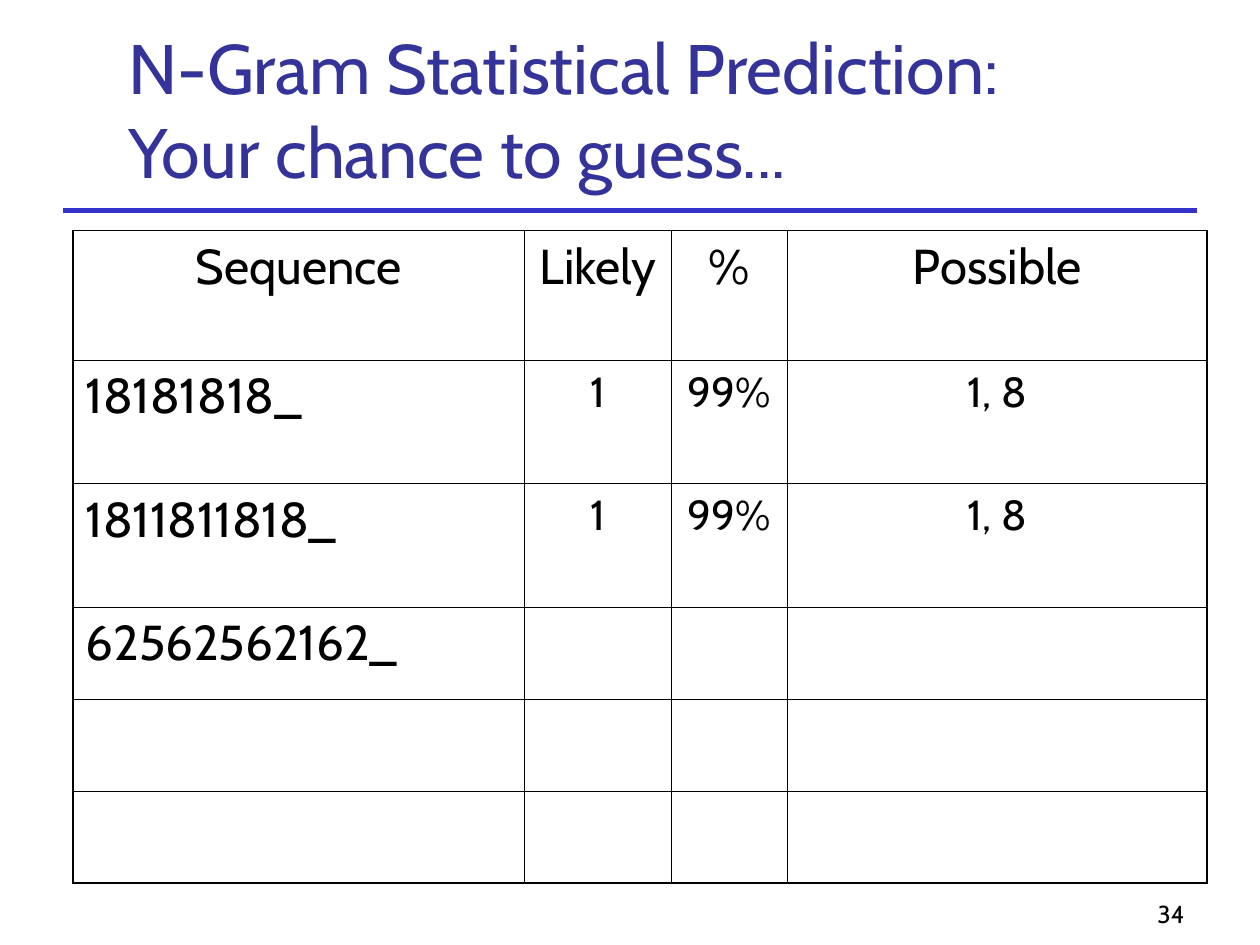
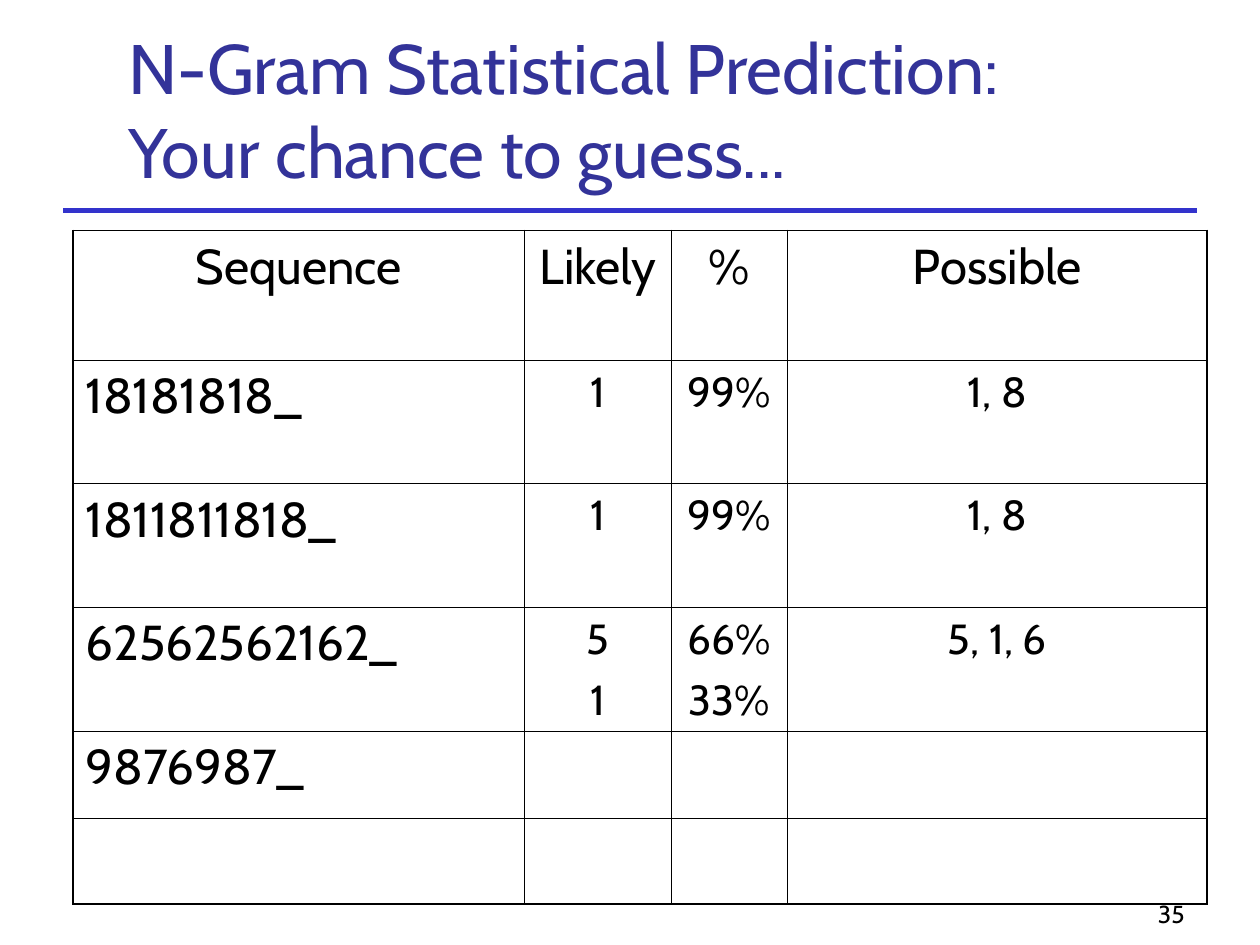
from pptx import Presentation
from pptx.dml.color import RGBColor
from pptx.enum.shapes import MSO_CONNECTOR
from pptx.enum.text import MSO_ANCHOR, PP_ALIGN
from pptx.oxml import parse_xml
from pptx.oxml.ns import nsdecls
from pptx.util import Inches, Pt

# Shared style
FONT = "Cabin"
BLACK = RGBColor(0x00, 0x00, 0x00)
TITLE_BLUE = RGBColor(0x33, 0x33, 0x99)
RULE_BLUE = RGBColor(0x33, 0x33, 0xCC)
OUTER_BORDER = Pt(1.08)
INNER_BORDER = Pt(0.45)

# Shared content
TITLE = "N-Gram Statistical Prediction:\nYour chance to guess..."
HEADER = ["Sequence", "Likely", "%", "Possible"]
COLUMN_WIDTHS = [3.58, 1.17, 0.92, 3.33]
SOLVED_ROWS = [
    ["18181818_", "1", "99%", "1, 8"],
    ["1811811818_", "1", "99%", "1, 8"],
]
EMPTY_ROW = [""] * len(HEADER)

# Each slide: number, guesses below the solved rows, row heights
SLIDES = [
    (34,
     [["62562562162_", "", "", ""], EMPTY_ROW, EMPTY_ROW],
     [1.03, 0.98, 0.98, 0.73, 0.73, 0.73]),
    (35,
     [["62562562162_", "5\n1", "66%\n33%", "5, 1, 6"],
      ["9876987_", "", "", ""], EMPTY_ROW],
     [1.03, 0.98, 0.98, 0.98, 0.69, 0.68]),
]


def style_paragraph(paragraph, size, color, alignment):
    paragraph.alignment = alignment
    paragraph.font.name = FONT
    paragraph.font.size = Pt(size)
    paragraph.font.color.rgb = color


def add_text(slide, text, left, top, width, height, size, color,
             alignment=PP_ALIGN.LEFT):
    shape = slide.shapes.add_textbox(Inches(left), Inches(top),
                                     Inches(width), Inches(height))
    frame = shape.text_frame
    frame.word_wrap = True
    frame.vertical_anchor = MSO_ANCHOR.BOTTOM
    paragraph = frame.paragraphs[0]
    paragraph.text = text
    style_paragraph(paragraph, size, color, alignment)


def add_title_rule(slide):
    rule = slide.shapes.add_connector(MSO_CONNECTOR.STRAIGHT, Inches(0.5),
                                      Inches(1.67), Inches(9.5), Inches(1.67))
    rule.line.color.rgb = RULE_BLUE
    rule.line.width = Pt(3)
    rule._element.spPr.append(parse_xml(f"<a:effectLst {nsdecls('a')}/>"))


def set_borders(cell, outer_sides):
    """Draw all four sides, thicker on the edge of the table."""
    properties = cell._tc.get_or_add_tcPr()
    for position, side in enumerate("LRTB"):
        width = OUTER_BORDER if side in outer_sides else INNER_BORDER
        properties.insert(position, parse_xml(
            f'<a:ln{side} {nsdecls("a")} w="{int(width)}"><a:solidFill>'
            f'<a:srgbClr val="{BLACK}"/></a:solidFill></a:ln{side}>'))


def fill_cell(cell, text, size, alignment):
    cell.fill.background()
    if not text:
        return
    cell.text = text
    for index, paragraph in enumerate(cell.text_frame.paragraphs):
        style_paragraph(paragraph, size, BLACK, alignment)
        paragraph.space_before = Pt(6 if index else 0)


def add_guess_table(slide, rows, row_heights):
    frame = slide.shapes.add_table(
        len(rows), len(HEADER), Inches(0.58), Inches(1.83),
        Inches(sum(COLUMN_WIDTHS)), Inches(sum(row_heights)))
    table = frame.table
    table.first_row = table.horz_banding = False
    for column, width in zip(table.columns, COLUMN_WIDTHS):
        column.width = Inches(width)
    for row, height in zip(table.rows, row_heights):
        row.height = Inches(height)

    last_row, last_column = len(rows) - 1, len(HEADER) - 1
    for r, values in enumerate(rows):
        for c, text in enumerate(values):
            cell = table.cell(r, c)
            edges = {"L": c == 0, "R": c == last_column,
                     "T": r == 0, "B": r == last_row}
            set_borders(cell, [side for side, outer in edges.items() if outer])
            is_sequence = r > 0 and c == 0
            size = 28 if r == 0 or c == 0 else 24
            fill_cell(cell, text, size,
                      PP_ALIGN.LEFT if is_sequence else PP_ALIGN.CENTER)


def main():
    presentation = Presentation()
    presentation.slide_width = Inches(10)
    presentation.slide_height = Inches(7.5)
    for number, guesses, row_heights in SLIDES:
        slide = presentation.slides.add_slide(presentation.slide_layouts[6])
        add_title_rule(slide)
        add_text(slide, str(number), 7.42, 6.92, 2.08, 0.5, 14, BLACK,
                 PP_ALIGN.RIGHT)
        add_text(slide, TITLE, 0.92, 0.33, 8.52, 1.25, 40, TITLE_BLUE)
        add_guess_table(slide, [HEADER] + SOLVED_ROWS + guesses, row_heights)
    presentation.save("out.pptx")


if __name__ == "__main__":
    main()
